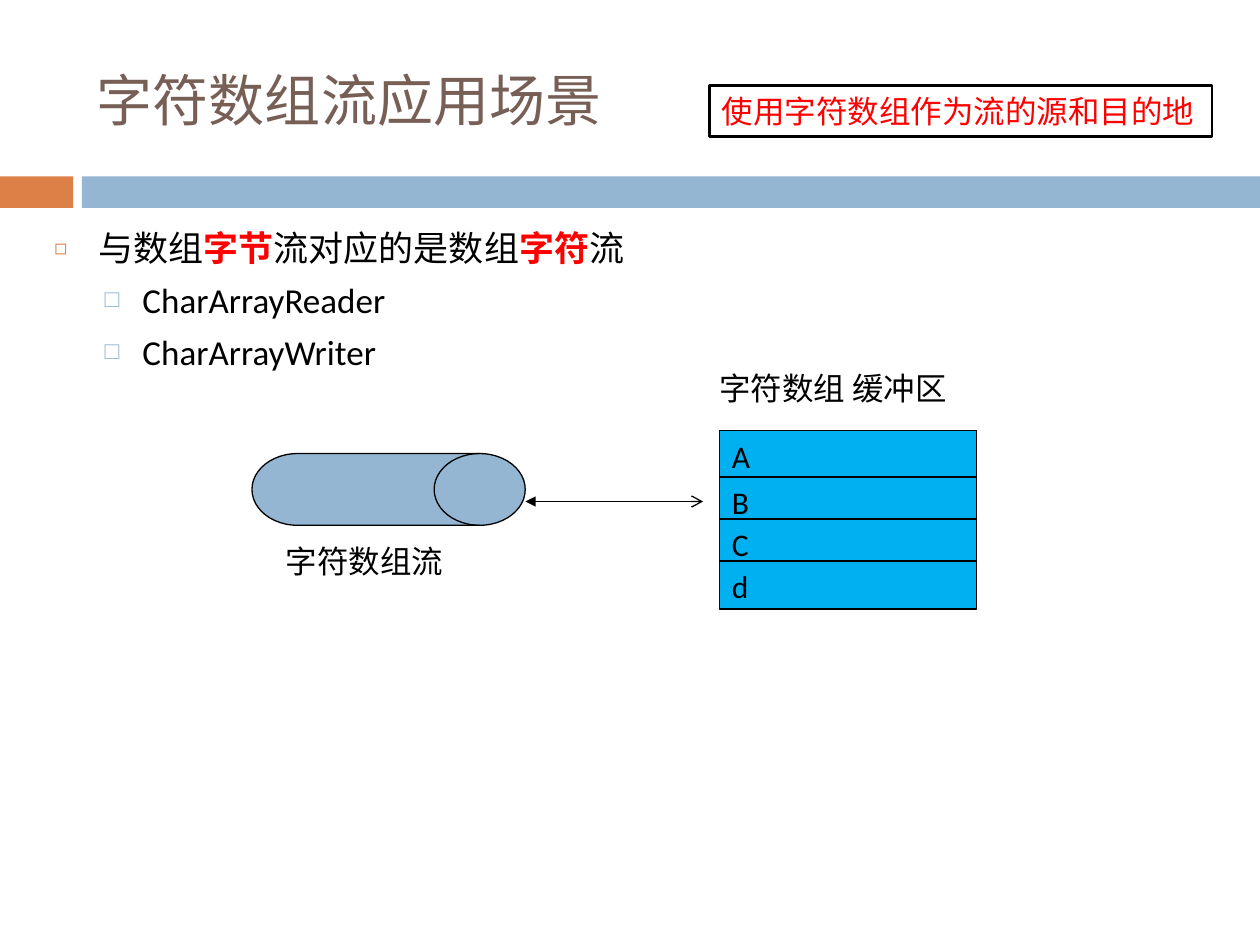
"""Build a slide on where character array streams are used."""
import lxml.etree
import pptx
import pptx.dml.color
import pptx.enum.shapes
import pptx.enum.text
import pptx.oxml.ns
import pptx.util

Pt = pptx.util.Pt
SHAPES = pptx.enum.shapes.MSO_SHAPE
ANCHOR = pptx.enum.text.MSO_ANCHOR
AUTO_SIZE = pptx.enum.text.MSO_AUTO_SIZE

THEME = {
    "black": "000000", "red": "FF0000", "brown": "775F55",
    "orange": "DD8047", "blue": "94B6D2", "cyan": "00B0F0",
    "body_font": "Calibri", "label_font": "Arial",
    "title_size": 32, "body_size": 20, "label_size": 18,
    "thin": 0.75, "thick": 1.5,
}

TITLE = "字符数组流应用场景"
BULLETS = [
    (0, [("与数组", False), ("字节", True), ("流对应的是数组", False), ("字符", True), ("流", False)]),
    (1, [("CharArrayReader", False)]),
    (1, [("CharArrayWriter", False)]),
]
LEVELS = [
    {"left": 25.2, "hanging": 25.2, "before": 7, "mark": "◻", "color": "orange", "percent": 60},
    {"left": 50.4, "hanging": 21.6, "before": 5.5, "mark": "□", "color": "blue", "percent": 70},
]
BANDS = [((0, 100.8, 41.8, 18), "orange"), ((46.8, 100.8, 673.2, 18), "blue")]
CALLOUT = "使用字符数组作为流的源和目的地"
LABELS = [("字符数组 缓冲区", (403.9, 207.4, 168.5, 29)), ("字符数组流", (156.2, 306, 126, 30))]
BUFFER = [("A", 246), ("B", 272.6), ("C", 296.6), ("d", 320.6)]
BUFFER_LEFT, CELL_WIDTH, CELL_HEIGHT = 411.2, 146.9, 27.4


def color_of(name):
    return pptx.dml.color.RGBColor.from_string(THEME[name])


def place(shape, box):
    shape.left, shape.top, shape.width, shape.height = map(Pt, box)


def add_run(paragraph, text, size, font, color, bold=False):
    run = paragraph.add_run()
    run.text = text
    run.font.size = Pt(THEME[size])
    run.font.name = THEME[font]
    run.font.bold = bold
    run.font.color.rgb = color_of(color)


def add_shape(slide, kind, box, fill=None, line=None):
    shape = slide.shapes.add_shape(kind, *map(Pt, box))
    shape.shadow.inherit = False
    if fill:
        shape.fill.solid()
        shape.fill.fore_color.rgb = color_of(fill)
    else:
        shape.fill.background()
    if line:
        shape.line.color.rgb = color_of("black")
        shape.line.width = Pt(THEME[line])
    else:
        shape.line.fill.background()
    return shape


def write_label(shape, text, font, color="black", wrap=True):
    frame = shape.text_frame
    frame.word_wrap = wrap
    frame.vertical_anchor = ANCHOR.TOP
    paragraph = frame.paragraphs[0]
    paragraph.alignment = pptx.enum.text.PP_ALIGN.LEFT
    add_run(paragraph, text, "label_size", font, color)


def add_child(parent, tag, **attributes):
    return lxml.etree.SubElement(parent, pptx.oxml.ns.qn(tag), attributes)


def set_bullet(paragraph, level):
    properties = paragraph._p.get_or_add_pPr()
    properties.set("marL", str(Pt(level["left"])))
    properties.set("indent", str(-Pt(level["hanging"])))
    bullet_color = add_child(properties, "a:buClr")
    add_child(bullet_color, "a:srgbClr", val=THEME[level["color"]])
    add_child(properties, "a:buSzPct", val=str(level["percent"] * 1000))
    add_child(properties, "a:buChar", char=level["mark"])


def fill_title(slide):
    title = slide.shapes.title
    place(title, (48.2, 18, 642.2, 77.8))
    title.text_frame.auto_size = AUTO_SIZE.NONE
    title.text_frame.vertical_anchor = ANCHOR.MIDDLE
    paragraph = title.text_frame.paragraphs[0]
    paragraph.alignment = pptx.enum.text.PP_ALIGN.LEFT
    add_run(paragraph, TITLE, "title_size", "body_font", "brown")


def fill_body(slide):
    body = slide.placeholders[1]
    place(body, (23.8, 126, 696.2, 113.8))
    frame = body.text_frame
    frame.auto_size = AUTO_SIZE.NONE
    for index, (depth, runs) in enumerate(BULLETS):
        paragraph = frame.add_paragraph() if index else frame.paragraphs[0]
        paragraph.level = depth
        set_bullet(paragraph, LEVELS[depth])
        paragraph.space_before = Pt(LEVELS[depth]["before"] if index else 0)
        for text, strong in runs:
            add_run(paragraph, text, "body_size", "body_font", "red" if strong else "black", strong)


def add_arrow(slide, start, end):
    arrow = slide.shapes.add_connector(
        pptx.enum.shapes.MSO_CONNECTOR.STRAIGHT, *map(Pt, start + end))
    arrow.line.color.rgb = color_of("black")
    arrow.line.width = Pt(THEME["thin"])
    line = arrow.line._get_or_add_ln()
    add_child(line, "a:headEnd", type="triangle")
    add_child(line, "a:tailEnd", type="arrow")
    add_child(arrow._element.spPr, "a:effectLst")


def main():
    presentation = pptx.Presentation()
    presentation.slide_width, presentation.slide_height = Pt(720), Pt(540)
    slide = presentation.slides.add_slide(presentation.slide_layouts[1])
    for box, fill in BANDS:
        add_shape(slide, SHAPES.RECTANGLE, box, fill)
    fill_title(slide)
    fill_body(slide)
    callout = add_shape(slide, SHAPES.RECTANGLE, (405.4, 49, 287.3, 29), line="thick")
    write_label(callout, CALLOUT, "label_font", "red", wrap=False)
    for text, box in LABELS:
        write_label(slide.shapes.add_textbox(*map(Pt, box)), text, "label_font")
    add_shape(slide, SHAPES.FLOWCHART_DIRECT_ACCESS_STORAGE, (144, 259.2, 156.2, 41), "blue", "thin")
    add_arrow(slide, (300.2, 286.6), (401.8, 286.6))
    for text, top in BUFFER:
        box = (BUFFER_LEFT, top, CELL_WIDTH, CELL_HEIGHT)
        write_label(add_shape(slide, SHAPES.RECTANGLE, box, "cyan", "thin"), text, "body_font")
    presentation.save("out.pptx")


if __name__ == "__main__":
    main()
